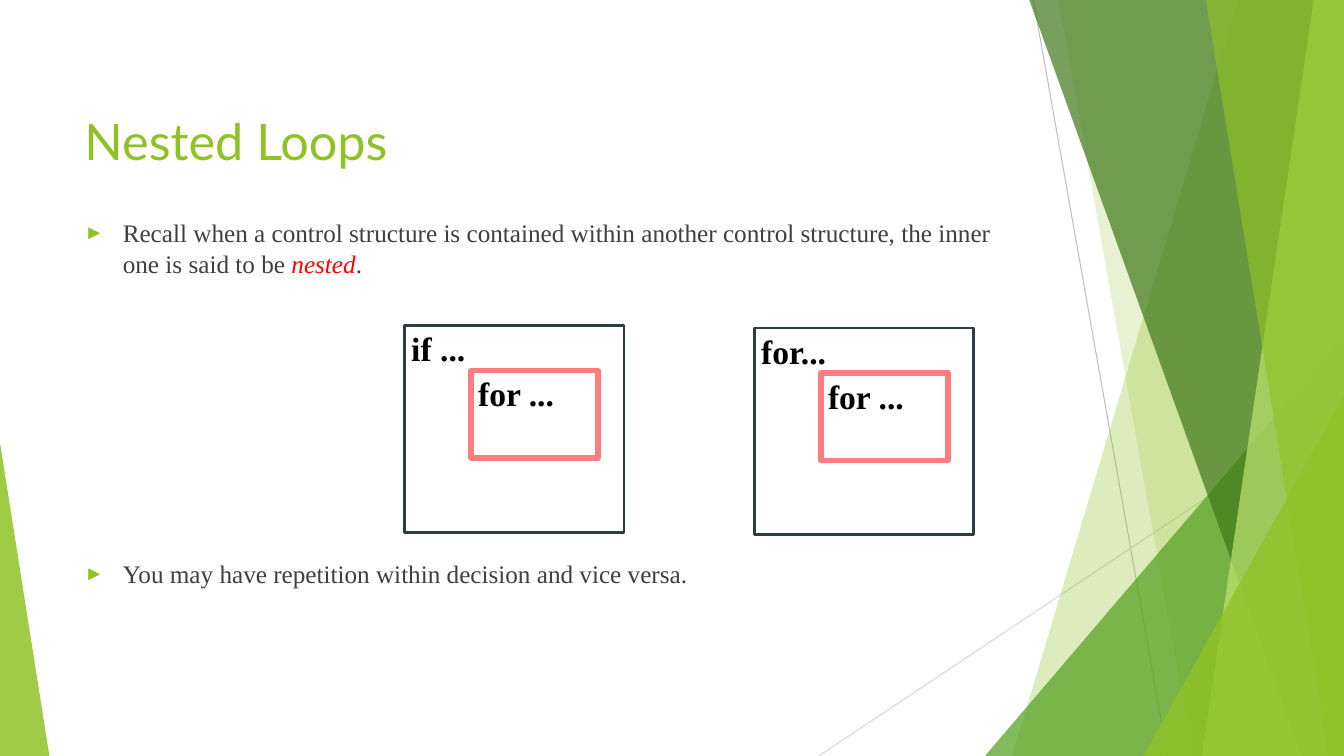
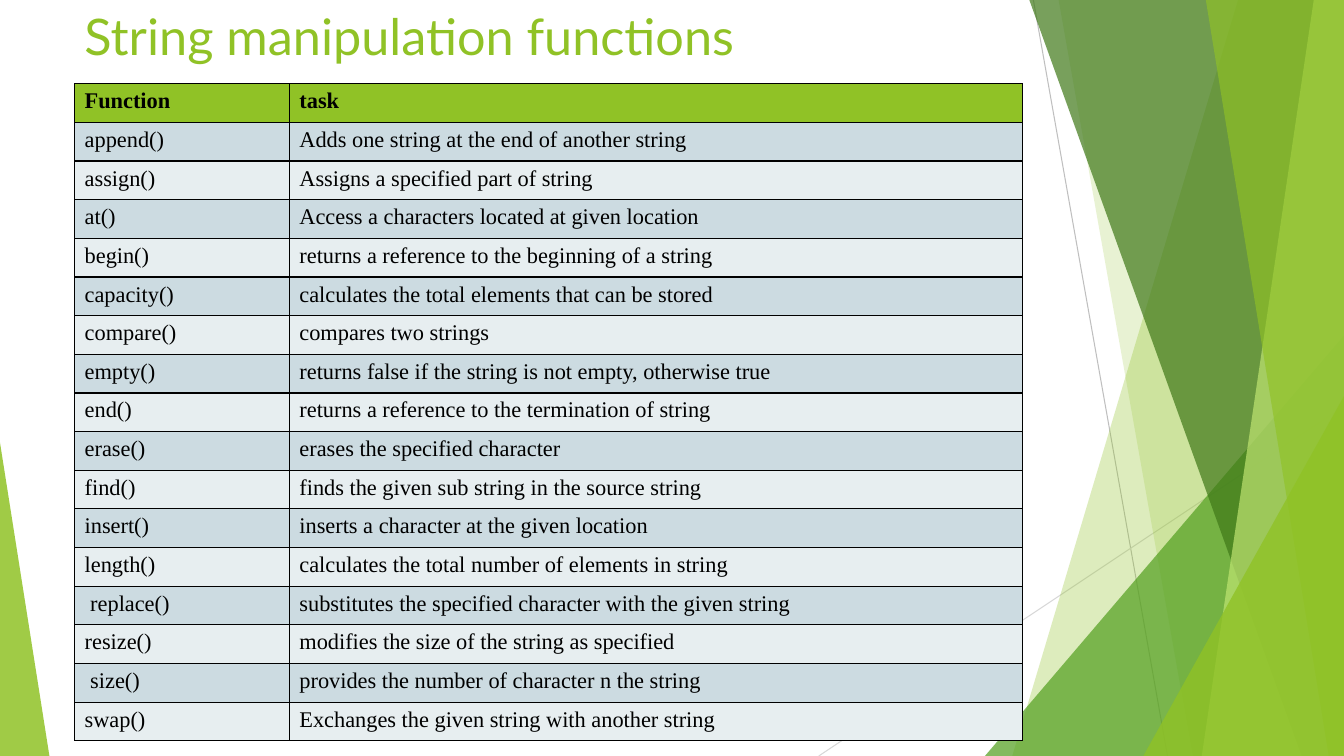
"""Build two lecture slides: nested loops and string manipulation functions."""
import itertools

import pptx
import pptx.dml.color
import pptx.enum.shapes
import pptx.enum.text
import pptx.oxml.ns
import pptx.util
from lxml import etree

RGBColor = pptx.dml.color.RGBColor
LIME = RGBColor(0x90, 0xC2, 0x26)
GREEN = RGBColor(0x54, 0xA0, 0x21)
FOREST = RGBColor(0x3F, 0x78, 0x18)
PALE_LIME = RGBColor(0xBF, 0xE4, 0x71)
GREY = RGBColor(0xBF, 0xBF, 0xBF)
LIGHT_GREY = RGBColor(0xD8, 0xD8, 0xD8)
BODY_GREY = RGBColor(0x3F, 0x3F, 0x3F)
BLACK = RGBColor(0, 0, 0)
RED = RGBColor(0xFF, 0, 0)
SLATE = RGBColor(0x2C, 0x3C, 0x43)
CORAL = RGBColor(0xFF, 0x7C, 0x80)
ROW_TINTS = (RGBColor(0xE7, 0xEE, 0xF0), RGBColor(0xCC, 0xDB, 0xE1))

SANS = "Lato"
SERIF = "Times New Roman"
LEFT, SPAN = 5.55, 70.52

qn = pptx.oxml.ns.qn
MSO_SHAPE = pptx.enum.shapes.MSO_SHAPE
MSO_ANCHOR = pptx.enum.text.MSO_ANCHOR

deck = pptx.Presentation()
deck.slide_width = pptx.util.Inches(13.333)
deck.slide_height = pptx.util.Inches(7.5)
COLUMN = deck.slide_width / 100
ROW = deck.slide_height / 100


def spot(*shares):
    """Turn alternating width and height percentages into slide lengths."""
    return [round(share * unit) for share, unit in zip(shares, itertools.cycle((COLUMN, ROW)))]


def write(paragraph, text, size=18, color=BLACK, font=SERIF, bold=False, italic=False):
    """Add one formatted run to a paragraph."""
    run = paragraph.add_run()
    run.text = text
    run.font.size = pptx.util.Pt(size)
    run.font.color.rgb = color
    run.font.name = font
    run.font.bold = bold
    run.font.italic = italic


rays = [
    (GREY, (76.89, 0, 86.87, 100)),
    (LIGHT_GREY, (100, 53.73, 60.92, 100)),
]
# BANDS
bands_and_wedges = [
    (LIME, 30, (92.12, 75.32)),
    (LIME, 20, (78.77, 88.75)),
    (GREEN, 72, (73.29, 44.4, 100, 1)),
    (FOREST, 70, (76.59, 96.85)),
    (PALE_LIME, 70, (97.75, 89.42)),
    (LIME, 65, (89.72, 98.87)),
    (LIME, 80, (85.07, 52.4, 100, 1)),
    (LIME, 85, (0, 58.53, 3.68, 0)),
]
headings = [
    ("Nested Loops", 8.93, MSO_ANCHOR.MIDDLE),
    ("String manipulation functions", 0, MSO_ANCHOR.TOP),
]

slides = []
for heading, top, anchor in headings:
    slide = deck.slides.add_slide(deck.slide_layouts[6])
    slides.append(slide)

    for color, ends in rays:
        ray = slide.shapes.add_connector(pptx.enum.shapes.MSO_CONNECTOR.STRAIGHT, *spot(*ends))
        ray.line.color.rgb = color
        ray.line.width = pptx.util.Pt(0.75)
        etree.SubElement(ray.element.spPr, qn("a:effectLst"))

    for color, opacity, edges in bands_and_wedges:
        if len(edges) == 2:
            upper, lower = edges
            outline = slide.shapes.build_freeform(*spot(upper, 0), scale=1.0)
            outline.add_line_segments([spot(100, 0), spot(100, 100), spot(lower, 100)], close=True)
            facet = outline.convert_to_shape()
        else:
            left, peak, right, apex = edges
            facet = slide.shapes.add_shape(
                MSO_SHAPE.ISOSCELES_TRIANGLE, *spot(left, peak, right - left, 100 - peak))
            facet.adjustments[0] = apex
        facet.shadow.inherit = False
        facet.line.fill.background()
        facet.fill.solid()
        facet.fill.fore_color.rgb = color
        tone = facet.element.spPr.find(".//" + qn("a:srgbClr"))
        etree.SubElement(tone, qn("a:alpha"), val=str(opacity * 1000))

    title = slide.shapes.add_textbox(*spot(LEFT, top, SPAN, 19.2)).text_frame
    title.word_wrap = True
    title.vertical_anchor = anchor
    write(title.paragraphs[0], heading, size=36, color=LIME, font=SANS)

loops_slide, strings_slide = slides

body = loops_slide.shapes.add_textbox(*spot(LEFT, 28.13, SPAN, 60)).text_frame
body.word_wrap = True
recall, repetition = body.paragraphs[0], body.add_paragraph()
indent = pptx.util.Inches(0.38)
for point in (recall, repetition):
    properties = point._p.get_or_add_pPr()
    properties.set("marL", str(indent))
    properties.set("indent", str(-indent))
    bullet_color = etree.SubElement(properties, qn("a:buClr"))
    etree.SubElement(bullet_color, qn("a:srgbClr"), val=str(LIME))
    etree.SubElement(properties, qn("a:buSzPct"), val="80000")
    etree.SubElement(properties, qn("a:buFont"), typeface="Arial")
    etree.SubElement(properties, qn("a:buChar"), char="►")
write(recall, "Recall when a control structure is contained within another control structure, "
      "the inner one is said to be ", color=BODY_GREY)
write(recall, "nested", color=RED, italic=True)
write(recall, ".", color=BODY_GREY)
repetition.space_before = pptx.util.Pt(200)
write(repetition, "You may have repetition within decision and vice versa.", color=BODY_GREY)

for outer_label, left, top in (("if ...", 30.08, 43.07), ("for...", 56.11, 43.4)):
    blocks = [
        (outer_label, left, top, 16.35, 27.33, SLATE, 2),
        ("for ...", left + 4.98, top + 5.93, 9.45, 11.6, CORAL, 4),
    ]
    for label, x, y, width, height, color, weight in blocks:
        block = loops_slide.shapes.add_shape(MSO_SHAPE.RECTANGLE, *spot(x, y, width, height))
        block.shadow.inherit = False
        block.fill.background()
        block.line.color.rgb = color
        block.line.width = pptx.util.Pt(weight)
        caption = loops_slide.shapes.add_textbox(*spot(x - 0.22, y - 0.3, 9.83, 6.8)).text_frame
        caption.word_wrap = True
        write(caption.paragraphs[0], label, size=24, bold=True)

functions = [
    ("Function", "task"),
    ("append()", "Adds one string at the end of another string"),
    ("assign()", "Assigns a specified part of string"),
    ("at()", "Access a characters located at given location"),
    ("begin()", "returns a reference to the beginning of a string"),
    ("capacity()", "calculates the total elements that can be stored"),
    ("compare()", "compares two strings"),
    ("empty()", "returns false if the string is not empty, otherwise true"),
    ("end()", "returns a reference to the termination of string"),
    ("erase()", "erases the specified character"),
    ("find()", "finds the given sub string in the source string"),
    ("insert()", "inserts a character at the given location"),
    ("length()", "calculates the total number of elements in string"),
    (" replace()", "substitutes the specified character with the given string"),
    ("resize()", "modifies the size of the string as specified"),
    (" size()", "provides the number of character n the string"),
    ("swap()", "Exchanges the given string with another string"),
]
reference = strings_slide.shapes.add_table(
    len(functions), 2, *spot(LEFT, 11.07, SPAN, 86.93)).table
for column, share in zip(reference.columns, (15.98, 54.54)):
    column.width = round(share * COLUMN)

for number, entry in enumerate(functions):
    for position, text in enumerate(entry):
        cell = reference.cell(number, position)
        cell_properties = cell._tc.get_or_add_tcPr()
        for side in ("a:lnL", "a:lnR", "a:lnT", "a:lnB"):
            border = etree.SubElement(cell_properties, qn(side), w=str(pptx.util.Pt(1)))
            ink = etree.SubElement(border, qn("a:solidFill"))
            etree.SubElement(ink, qn("a:srgbClr"), val=str(BLACK))
        cell.fill.solid()
        cell.fill.fore_color.rgb = ROW_TINTS[number % 2] if number else LIME
        write(cell.text_frame.paragraphs[0], text, size=16, bold=number == 0)

deck.save("out.pptx")
